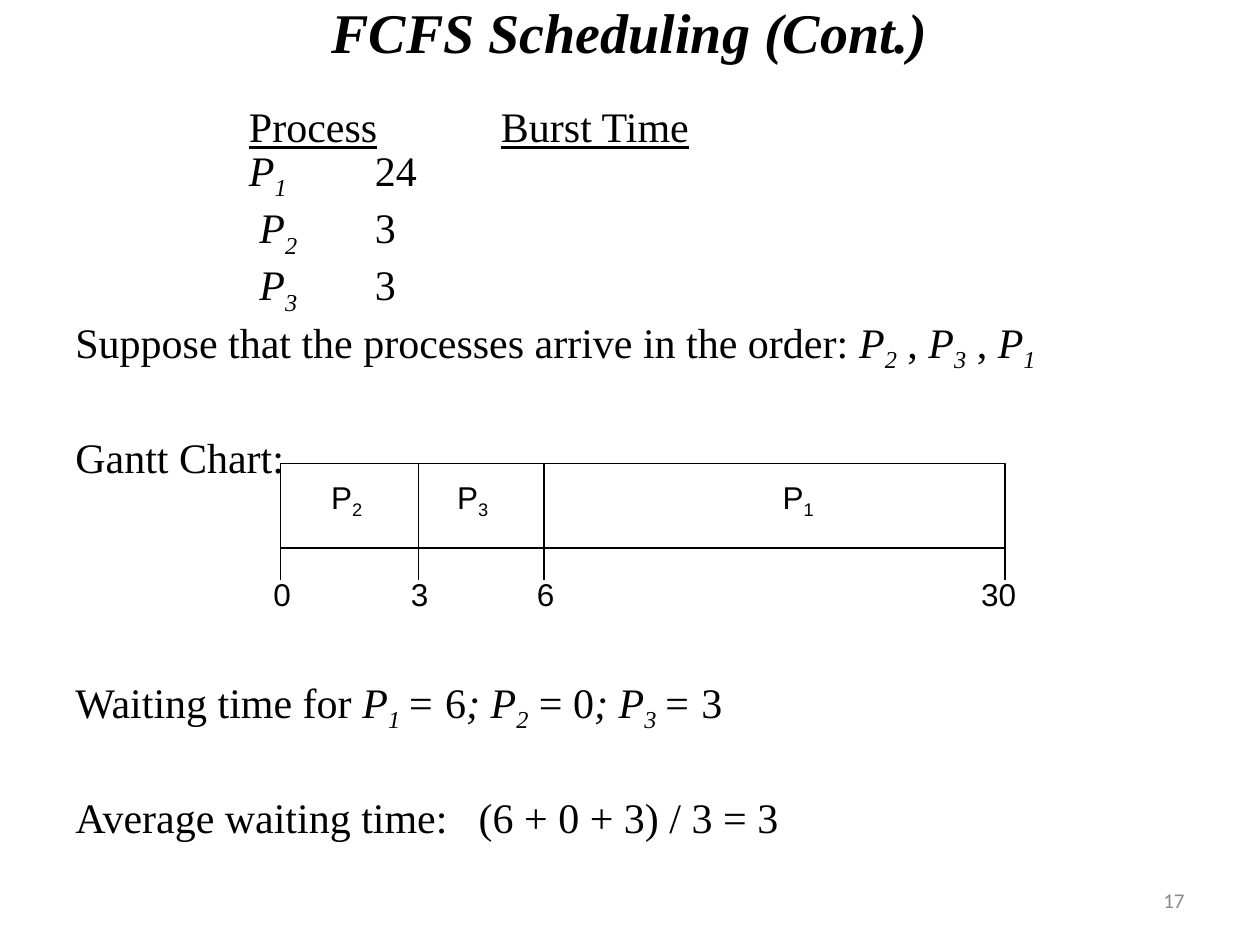
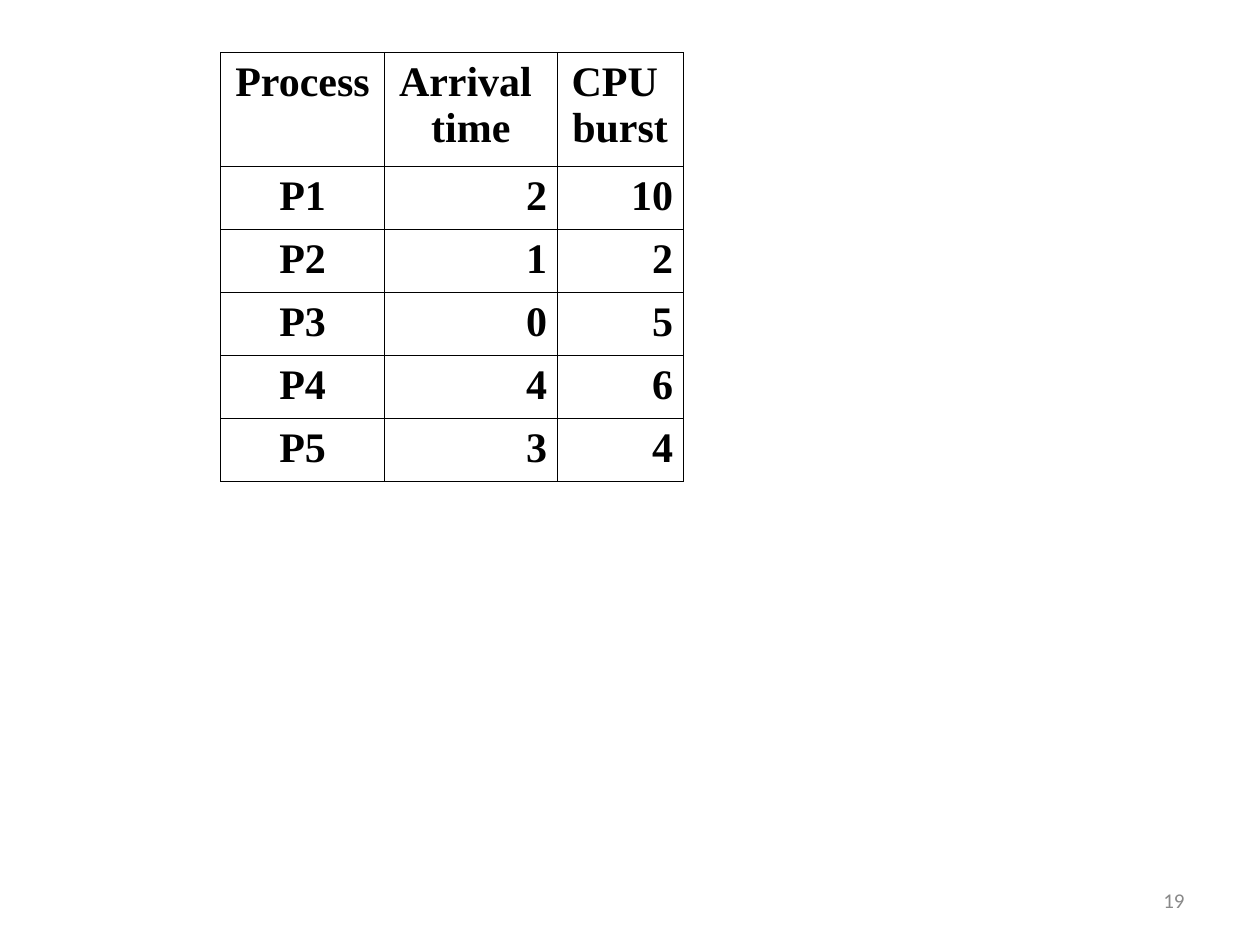
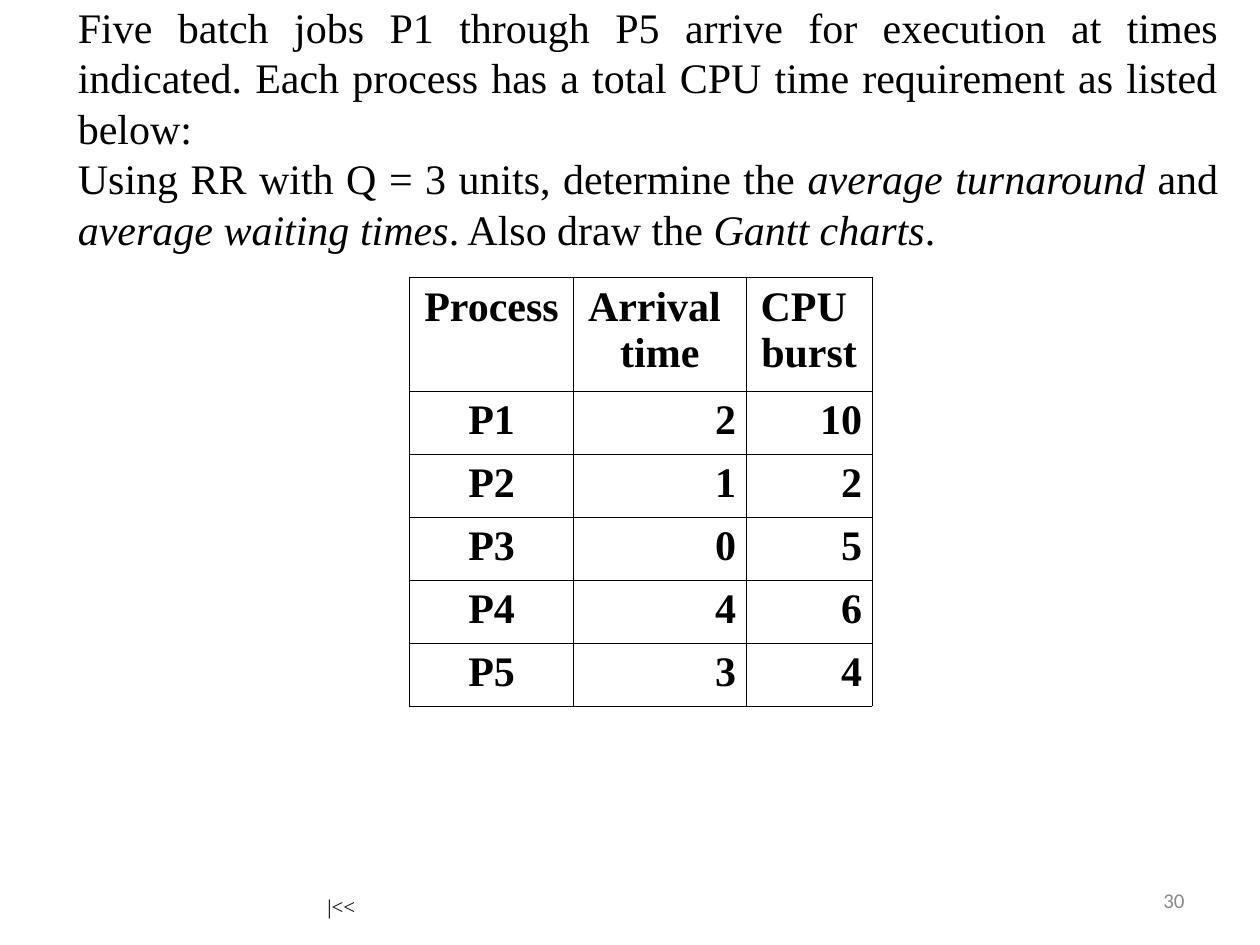
from lxml import etree
from pptx import Presentation
from pptx.dml.color import RGBColor
from pptx.enum.shapes import MSO_CONNECTOR, MSO_SHAPE
from pptx.enum.text import MSO_ANCHOR, MSO_AUTO_SIZE, PP_ALIGN
from pptx.oxml.ns import qn
from pptx.util import Cm, Pt

LEFT, CENTER, RIGHT, JUSTIFY = PP_ALIGN.LEFT, PP_ALIGN.CENTER, PP_ALIGN.RIGHT, PP_ALIGN.JUSTIFY
TOP, MIDDLE = MSO_ANCHOR.TOP, MSO_ANCHOR.MIDDLE
NO_AUTOFIT = MSO_AUTO_SIZE.NONE
RECTANGLE, STRAIGHT = MSO_SHAPE.RECTANGLE, MSO_CONNECTOR.STRAIGHT
TITLE_ONLY, BLANK = 5, 6

SERIF, SANS, FOOTER_FONT = "Times New Roman", "Arial", "Calibri"
BLACK, WHITE, GREY = "000000", "FFFFFF", "898989"
BODY_SIZE, BODY_PITCH = 24, 28.8
SUBSCRIPT_GAP, BLANK_LINE_GAP, CHART_GAP = 4, 33, 115
INSETS = (0.25, 0.13, 0.25, 0.13)

PROCESS_X, SHIFTED_X, BURST_X, HEADING_X = 3.5, 3.71, 6.04, 8.58

JOBS = [
    (["Process"], ["Arrival ", "time"], ["CPU ", "burst"]),
    (["P1"], ["2"], ["10"]),
    (["P2"], ["1"], ["2"]),
    (["P3"], ["0"], ["5"]),
    (["P4"], ["4"], ["6"]),
    (["P5"], ["3"], ["4"]),
]


def color(hex_code):
    return RGBColor.from_string(hex_code)


def add_runs(paragraph, runs, font, size, ink=BLACK):
    for text, marks in runs:
        run = paragraph.add_run()
        run.text = text
        run.font.name = font
        run.font.size = Pt(size)
        run.font.color.rgb = color(ink)
        run.font.bold = "b" in marks
        run.font.italic = "i" in marks
        run.font.underline = "u" in marks
        if "s" in marks:
            run._r.get_or_add_rPr().set("baseline", "-25000")


def set_tabs(paragraph, stops):
    tab_list = etree.SubElement(paragraph._p.get_or_add_pPr(), qn("a:tabLst"))
    for stop in stops:
        etree.SubElement(tab_list, qn("a:tab"), pos=str(int(Cm(stop))), algn="l")


def format_frame(frame, anchor, insets, wrap=True):
    frame.auto_size = NO_AUTOFIT
    frame.word_wrap = wrap
    frame.vertical_anchor = anchor
    frame.margin_left, frame.margin_top, frame.margin_right, frame.margin_bottom = map(Cm, insets)


def add_text(slide, box, paragraphs, font, size, ink=BLACK, align=LEFT, anchor=TOP,
             insets=INSETS, wrap=True, pitch=None):
    frame = slide.shapes.add_textbox(*map(Cm, box)).text_frame
    format_frame(frame, anchor, insets, wrap)
    for index, (runs, gap, stops) in enumerate(paragraphs):
        paragraph = frame.add_paragraph() if index else frame.paragraphs[0]
        if stops:
            set_tabs(paragraph, stops)
        paragraph.alignment = align
        if gap:
            paragraph.space_before = Pt(gap)
        if pitch:
            paragraph.line_spacing = pitch
        add_runs(paragraph, runs, font, size, ink)


def add_line(slide, x, top, bottom):
    line = slide.shapes.add_connector(STRAIGHT, Cm(x), Cm(top), Cm(x), Cm(bottom))
    line.line.color.rgb = color(BLACK)
    line.line.width = Pt(0.75)
    etree.SubElement(line._element.spPr, qn("a:effectLst"))


def add_page_number(slide, number):
    add_text(slide, (18.2, 17.65, 5.93, 1.01), [([(number, "")], 0, None)],
             FOOTER_FONT, 12, GREY, RIGHT, MIDDLE)


def add_title(slide, box, text):
    title = slide.shapes.title
    title.left, title.top, title.width, title.height = map(Cm, box)
    format_frame(title.text_frame, MIDDLE, (0, 0, 0, 0))
    heading = title.text_frame.paragraphs[0]
    heading.alignment = CENTER
    add_runs(heading, [(text, "bi")], SERIF, 32)


def process(number):
    return [("P", "i"), (number, "is")]


def add_gantt(slide, box):
    left, top, width, height = box
    bottom = top + height
    bars = slide.shapes.add_shape(RECTANGLE, *map(Cm, box))
    bars.shadow.inherit = False
    bars.fill.solid()
    bars.fill.fore_color.rgb = color(WHITE)
    bars.line.color.rgb = color(BLACK)
    bars.line.width = Pt(0.75)

    def add_label(runs, center, label_top, label_height):
        add_text(slide, (left + center - 0.6, label_top, 1.2, label_height),
                 [(runs, 0, None)], SANS, 18, align=CENTER, anchor=MIDDLE, wrap=False)

    for number, center in (("2", 1.33), ("3", 3.87), ("1", 10.43)):
        add_label([("P", ""), (number, "s")], center, top + 0.15, 1.12)
    for time, mark, center in (("0", 0, 0.03), ("3", 2.77, 2.8),
                               ("6", 5.31, 5.34), ("30", width, width - 0.13)):
        if 0 < mark < width:
            add_line(slide, left + mark, top, bottom)
        add_line(slide, left + mark, bottom, bottom + 0.64)
        add_label([(time, "")], center, bottom + 0.41, 1.02)


def add_fcfs_text(slide, box):
    def burst_row(number, burst, gap, x):
        runs = [("\t", ""), *process(number), ("\t" + burst, "")]
        return runs, gap, (x, BURST_X)

    paragraphs = [
        ([("\t", ""), ("Process", "u"), ("\t", ""), ("Burst Time", "u")], 0, (PROCESS_X, HEADING_X)),
        burst_row("1", "24", 0, PROCESS_X),
        burst_row("2", "3", SUBSCRIPT_GAP, SHIFTED_X),
        burst_row("3", "3", SUBSCRIPT_GAP, SHIFTED_X),
        ([("Suppose that the processes arrive in the order: ", ""), *process("2"), (" , ", ""),
          *process("3"), (" , ", ""), *process("1")], SUBSCRIPT_GAP, None),
        ([("Gantt Chart:", "")], BLANK_LINE_GAP, None),
        ([("Waiting time for ", ""), *process("1"), (" ", "is"), ("=", "i"), (" 6", ""),
          ("; ", "i"), *process("2"), (" = 0", ""), ("; ", "i"), *process("3"), (" ", "is"),
          ("= ", "i"), ("3", "")], CHART_GAP, None),
        ([("Average waiting time:\t(6 + 0 + 3) / 3 = 3", "")], BLANK_LINE_GAP, (8.13,)),
    ]
    add_text(slide, box, paragraphs, SERIF, BODY_SIZE, pitch=Pt(BODY_PITCH))


def add_border(cell):
    properties = cell._tc.get_or_add_tcPr()
    for side in ("a:lnL", "a:lnR", "a:lnT", "a:lnB"):
        edge = etree.SubElement(properties, qn(side), w=str(int(Pt(0.45))))
        paint = etree.SubElement(edge, qn("a:solidFill"))
        etree.SubElement(paint, qn("a:srgbClr"), val=BLACK)


def add_job_table(slide, left, top):
    widths = (3.3, 3.48, 2.54)
    heights = [2.29] + [1.27] * (len(JOBS) - 1)
    table = slide.shapes.add_table(len(JOBS), len(widths), Cm(left), Cm(top),
                                   Cm(sum(widths)), Cm(sum(heights))).table
    table.first_row = table.horz_banding = False
    for column, width in zip(table.columns, widths):
        column.width = Cm(width)
    for r, (job, height) in enumerate(zip(JOBS, heights)):
        table.rows[r].height = Cm(height)
        for c, lines in enumerate(job):
            cell = table.cell(r, c)
            add_border(cell)
            cell.fill.background()
            cell.margin_left = cell.margin_right = Cm(0.2)
            cell.margin_top = cell.margin_bottom = Cm(0.13)
            for index, line in enumerate(lines):
                frame = cell.text_frame
                paragraph = frame.add_paragraph() if index else frame.paragraphs[0]
                paragraph.alignment = RIGHT if r and c else CENTER
                add_runs(paragraph, [(line, "b")], SERIF, BODY_SIZE)


def add_round_robin_task(slide, box):
    paragraphs = [
        ([("Five batch jobs P1 through P5 arrive for execution at times indicated. "
           "Each process has a total CPU time requirement as listed below:", "")], 0, None),
        ([("Using RR with Q = 3 units, determine the ", ""), ("average turnaround", "i"),
          (" and ", ""), ("average waiting times", "i"), (". Also draw the ", ""),
          ("Gantt charts", "i"), (".", "")], 0, None),
    ]
    add_text(slide, box, paragraphs, SERIF, BODY_SIZE, align=JUSTIFY, anchor=MIDDLE,
             insets=(1.57, 0, 0, 0), pitch=Pt(BODY_PITCH))


def build_fcfs_slide(slide):
    add_title(slide, (0, 0, 25.4, 1.27), "FCFS Scheduling (Cont.)")
    add_gantt(slide, (5.66, 9.35, 14.6, 1.7))
    add_page_number(slide, "17")
    add_fcfs_text(slide, (1.27, 1.9, 22.66, 14.8))


def build_jobs_slide(slide):
    add_page_number(slide, "19")
    add_job_table(slide, 4.45, 1.06)


def build_round_robin_slide(slide):
    add_page_number(slide, "30")
    add_round_robin_task(slide, (0, 0.03, 24.56, 5.08))
    add_job_table(slide, 8.26, 5.59)
    add_text(slide, (6.35, 17.63, 1.07, 1.02), [([("|<<", "")], 0, None)],
             SERIF, 12, align=JUSTIFY, wrap=False, pitch=1.5)


def main():
    deck = Presentation()
    deck.slide_width, deck.slide_height = Cm(25.4), Cm(19.05)
    for layout, build in ((TITLE_ONLY, build_fcfs_slide), (BLANK, build_jobs_slide),
                          (BLANK, build_round_robin_slide)):
        build(deck.slides.add_slide(deck.slide_layouts[layout]))
    deck.save("out.pptx")


if __name__ == "__main__":
    main()
